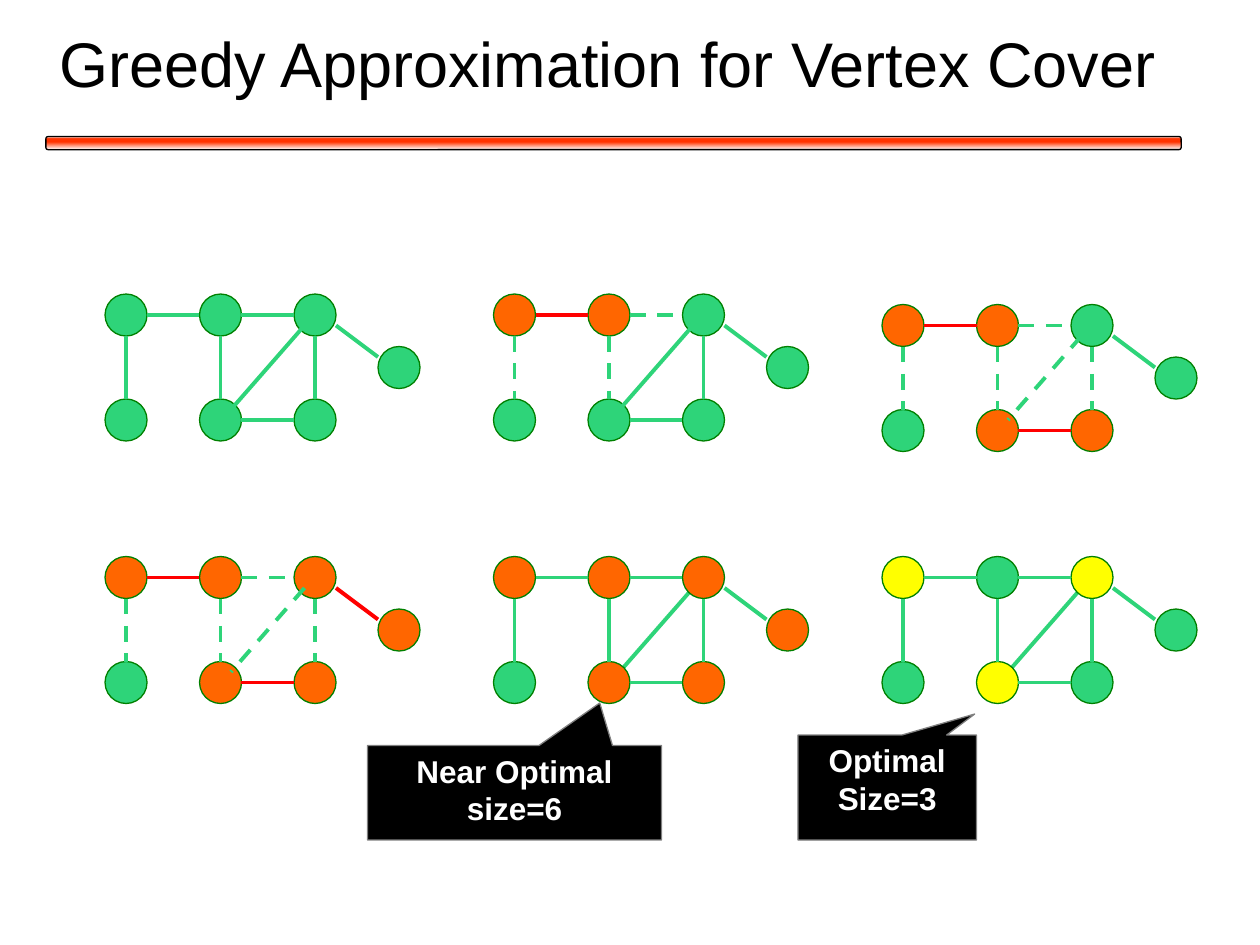
from dataclasses import dataclass
from typing import Optional

import lxml.etree
import pptx
import pptx.dml.color
import pptx.enum.dml
import pptx.enum.shapes
import pptx.enum.text
import pptx.oxml
import pptx.oxml.ns
import pptx.util

EMU_PER_PX = 9525
FONT = "Arial"
GREEN, ORANGE, YELLOW, RED = "2ED479", "FF6600", "FFFF00", "FF0000"
VERTEX_SIZE = 32
VERTEX_COLORS = {"g": GREEN, "o": ORANGE, "y": YELLOW}
# Three vertices above, the outlying one, three below
VERTEX_OFFSETS = [(0, 0), (72, 0), (144, 0), (208, 40), (0, 80), (72, 80), (144, 80)]
# Edge styles: k = kept, c = chosen, r = removed
EDGE_STYLES = {"k": (GREEN, False), "c": (RED, False), "r": (GREEN, True)}
EDGE_OFFSETS = [
    (32, 16, 72, 16),
    (104, 16, 144, 16),
    (104, 96, 144, 96),
    (16, 32, 16, 80),
    (88, 32, 88, 80),
    (160, 32, 160, 80),
    (152, 24, 96, 88),
    (176, 24, 208, 48),
]
DIAGONAL = 6
COLUMNS = [80 + 296 * column for column in range(3)]
TOP_ROW, BOTTOM_ROW = 224, 424


@dataclass
class Callout:
    left: int
    top: int
    width: int
    height: int
    tip: tuple[float, float]
    lines: tuple[str, ...]


@dataclass
class Graph:
    left: int
    top: int
    vertices: str
    edges: str
    diagonal_behind: bool = False
    callout: Optional[Callout] = None


GRAPHS = [
    Graph(COLUMNS[0], TOP_ROW, "ggggggg", "kkkkkkkk"),
    Graph(COLUMNS[1], TOP_ROW, "ooggggg", "crkrrkkk"),
    Graph(COLUMNS[0], BOTTOM_ROW, "oooogoo", "crcrrrrc"),
    Graph(COLUMNS[2], TOP_ROW + 8, "oogggoo", "crcrrrrk"),
    Graph(COLUMNS[2], BOTTOM_ROW, "ygyggyg", "kkkkkkkk", True,
          Callout(608, 560, 136, 80, (0.49, -0.7), ("Optimal", "Size=3"))),
    Graph(COLUMNS[1], BOTTOM_ROW, "oooogoo", "kkkkkkkk", True,
          Callout(280, 568, 224, 72, (0.29, -0.95), ("Near Optimal", "size=6"))),
]


def px(length: int) -> pptx.util.Emu:
    return pptx.util.Emu(length * EMU_PER_PX)


def rgb(color: str) -> pptx.dml.color.RGBColor:
    return pptx.dml.color.RGBColor.from_string(color)


def add_box(shapes, kind, left: int, top: int, width: int, height: int, fill: str, line: str):
    shape = shapes.add_shape(kind, px(left), px(top), px(width), px(height))
    shape.shadow.inherit = False
    shape.fill.solid()
    shape.fill.fore_color.rgb = rgb(fill)
    shape.line.color.rgb = rgb(line)
    shape.line.width = pptx.util.Pt(0.75)
    return shape


def add_run(paragraph, text: str, size: int, color: str, bold: bool) -> None:
    run = paragraph.add_run()
    run.text = text
    run.font.name = FONT
    run.font.size = pptx.util.Pt(size)
    run.font.bold = bold
    run.font.color.rgb = rgb(color)


def add_title(slide, text: str) -> None:
    title = slide.shapes.title
    title.left, title.top, title.width, title.height = px(36), px(0), px(864), px(95)
    frame = title.text_frame
    frame.word_wrap = True
    frame.auto_size = pptx.enum.text.MSO_AUTO_SIZE.NONE
    frame.vertical_anchor = pptx.enum.text.MSO_ANCHOR.MIDDLE
    paragraph = frame.paragraphs[0]
    paragraph.alignment = pptx.enum.text.PP_ALIGN.LEFT
    add_run(paragraph, text, 36, "000000", False)


def add_title_rule(slide) -> None:
    rule = add_box(slide.shapes, pptx.enum.shapes.MSO_SHAPE.ROUNDED_RECTANGLE,
                   35, 104, 865, 10, "FF3300", "000000")
    rule.fill.gradient()
    rule.fill.gradient_angle = 270
    stops = rule.element.spPr.find(".//" + pptx.oxml.ns.qn("a:gsLst"))
    for stop in list(stops):
        stops.remove(stop)
    for percent, color in [(0, "FFFFFF"), (16, "FF3300"), (42, "FF3300"), (100, "FFFFFF")]:
        stop = lxml.etree.SubElement(stops, pptx.oxml.ns.qn("a:gs"), pos=str(percent * 1000))
        lxml.etree.SubElement(stop, pptx.oxml.ns.qn("a:srgbClr"), val=color)


def add_vertex(shapes, graph: Graph, index: int) -> None:
    x, y = VERTEX_OFFSETS[index]
    add_box(shapes, pptx.enum.shapes.MSO_SHAPE.FLOWCHART_CONNECTOR, graph.left + x,
            graph.top + y, VERTEX_SIZE, VERTEX_SIZE,
            VERTEX_COLORS[graph.vertices[index]], "008000")


def add_edge(shapes, graph: Graph, index: int) -> None:
    x1, y1, x2, y2 = EDGE_OFFSETS[index]
    color, dashed = EDGE_STYLES[graph.edges[index]]
    edge = shapes.add_connector(
        pptx.enum.shapes.MSO_CONNECTOR.STRAIGHT,
        px(graph.left + x1), px(graph.top + y1), px(graph.left + x2), px(graph.top + y2))
    edge.line.color.rgb = rgb(color)
    edge.line.width = pptx.util.Pt(2.25)
    if dashed:
        edge.line.dash_style = pptx.enum.dml.MSO_LINE.DASH
    lxml.etree.SubElement(edge.element.spPr, pptx.oxml.ns.qn("a:effectLst"))


def add_callout(shapes, callout: Callout) -> None:
    shape = add_box(shapes, pptx.enum.shapes.MSO_SHAPE.RECTANGULAR_CALLOUT, callout.left,
                    callout.top, callout.width, callout.height, "000000", "808080")
    for index, offset in enumerate(callout.tip):
        shape.adjustments[index] = offset
    frame = shape.text_frame
    frame.word_wrap = True
    frame.vertical_anchor = pptx.enum.text.MSO_ANCHOR.TOP
    for index, line in enumerate(callout.lines):
        paragraph = frame.add_paragraph() if index else frame.paragraphs[0]
        paragraph.alignment = pptx.enum.text.PP_ALIGN.CENTER
        add_run(paragraph, line, 18, "FFFFFF", True)


def add_graph(slide, graph: Graph) -> None:
    shapes = slide.shapes.add_group_shape().shapes
    if graph.diagonal_behind:
        add_edge(shapes, graph, DIAGONAL)
    for index in range(len(VERTEX_OFFSETS)):
        add_vertex(shapes, graph, index)
    for index in range(len(EDGE_OFFSETS)):
        if index != DIAGONAL or not graph.diagonal_behind:
            add_edge(shapes, graph, index)
    if graph.callout:
        add_callout(shapes, graph.callout)


def main() -> None:
    presentation = pptx.Presentation()
    presentation.slide_width, presentation.slide_height = px(960), px(720)
    slide = presentation.slides.add_slide(presentation.slide_layouts.get_by_name("Title Only"))
    add_title(slide, "Greedy Approximation for Vertex Cover")
    add_title_rule(slide)
    for graph in GRAPHS:
        add_graph(slide, graph)
    presentation.save("out.pptx")


if __name__ == "__main__":
    main()
